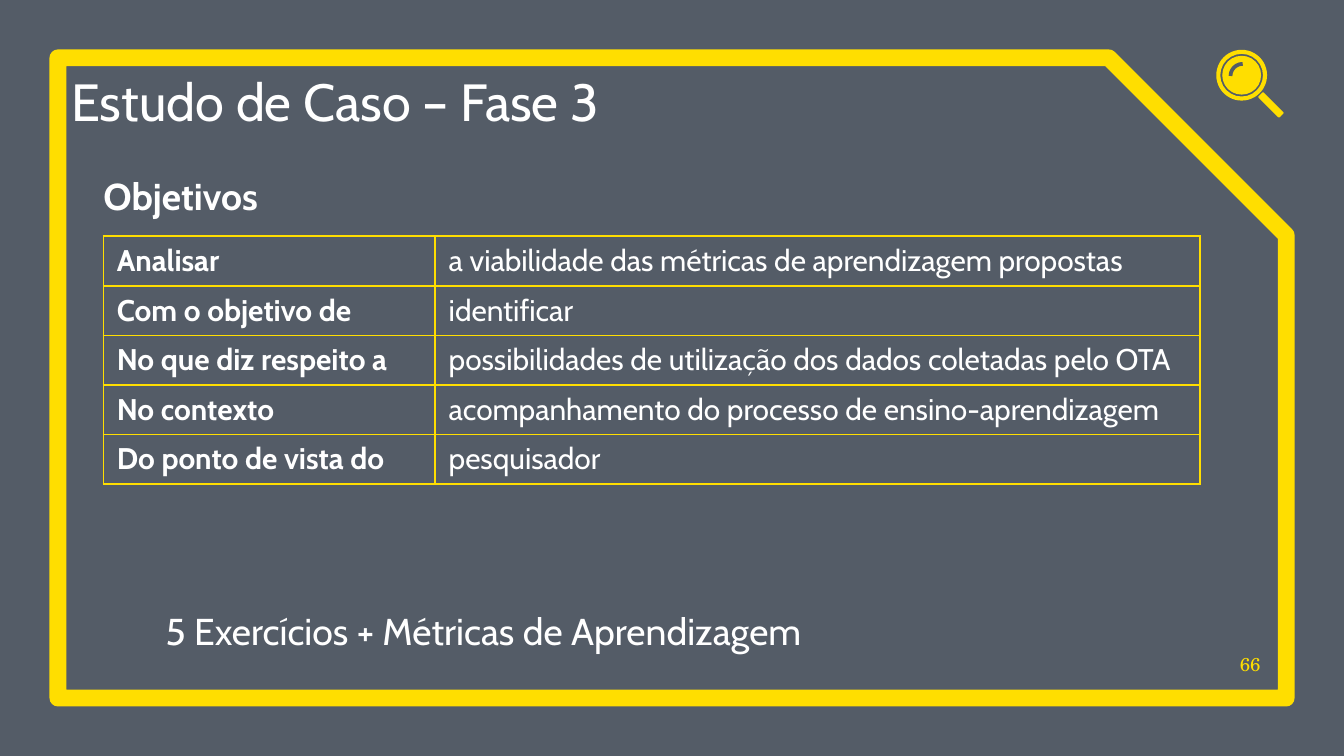
from lxml.etree import SubElement
from pptx import Presentation
from pptx.dml.color import RGBColor
from pptx.enum.shapes import MSO_SHAPE
from pptx.enum.text import MSO_ANCHOR, MSO_AUTO_SIZE, PP_ALIGN
from pptx.oxml import parse_xml
from pptx.oxml.ns import nsdecls, qn
from pptx.util import Pt

COLORS = {"background": "545C67", "yellow": "FFDE00", "white": "FFFFFF", "shadow": "000000"}
RGB = {name: RGBColor.from_string(value) for name, value in COLORS.items()}


def write_text(text_frame, text, size, bold=False, font_name="Cabin", color="white",
               align=PP_ALIGN.LEFT, shadow=False):
    paragraph = text_frame.paragraphs[0]
    paragraph.alignment = align
    run = paragraph.add_run()
    run.text = text
    for name, value in {"name": font_name, "size": Pt(size), "bold": bold}.items():
        setattr(run.font, name, value)
    run.font.color.rgb = RGB[color]
    if shadow:
        fill = run.font._element.find(qn("a:solidFill"))
        fill.addnext(parse_xml(
            f'<a:effectLst {nsdecls("a")}><a:outerShdw blurRad="38100" dist="38100" dir="2700000">'
            f'<a:srgbClr val="{COLORS["shadow"]}"><a:alpha val="43000"/></a:srgbClr>'
            '</a:outerShdw></a:effectLst>'))


def add_plain_shape(kind, left, top, width, height, fill=None, line=None, line_width=0):
    shape = slide.shapes.add_shape(kind, Pt(left), Pt(top), Pt(width), Pt(height))
    shape.shadow.inherit = False
    if fill:
        shape.fill.solid()
        shape.fill.fore_color.rgb = RGB[fill]
    else:
        shape.fill.background()
    if line:
        shape.line.color.rgb = RGB[line]
        shape.line.width = Pt(line_width)
    else:
        shape.line.fill.background()
    return shape


presentation = Presentation()
presentation.slide_width = Pt(720)
presentation.slide_height = Pt(405)
slide = presentation.slides.add_slide(presentation.slide_layouts[5])
slide.background.fill.solid()
slide.background.fill.fore_color.rgb = RGB["background"]

frame = add_plain_shape(MSO_SHAPE.SNIP_1_RECTANGLE, 31, 31, 658, 343, line="yellow", line_width=9)
frame.adjustments[0] = 0.277

lens_rim = add_plain_shape(MSO_SHAPE.DONUT, 651.6, 26.7, 27.2, 27.2, fill="yellow")
lens_rim.adjustments[0] = 0.08
add_plain_shape(MSO_SHAPE.OVAL, 654.8, 29.9, 20.8, 20.8, fill="yellow")
glare = add_plain_shape(MSO_SHAPE.ARC, 659.2, 34.2, 13, 13, line="background", line_width=2)
glare.adjustments[0] = 108
glare.adjustments[1] = 162
handle = add_plain_shape(MSO_SHAPE.ROUNDED_RECTANGLE, 672.9, 54.3, 16, 3.9, fill="yellow")
handle.rotation = 45

text_boxes = [
    ((38.2, 32.4, 529.2, 38.2), "Estudo de Caso – Fase 3", {"size": 28, "shadow": True}),
    ((55.4, 92.2, 178.6, 24.5), "Objetivos", {"size": 20, "bold": True, "shadow": True}),
    ((55.4, 318.2, 407.5, 31.7), "5 Exercícios + Métricas de Aprendizagem",
     {"size": 20, "align": PP_ALIGN.CENTER, "shadow": True}),
    ((655.9, 341.3, 19.4, 20.2), "66",
     {"size": 10, "font_name": "TeX Gyre Schola", "color": "yellow", "align": PP_ALIGN.RIGHT}),
]
for index, (position, text, text_format) in enumerate(text_boxes):
    box = slide.shapes.title if index == 0 else slide.shapes.add_textbox(0, 0, 0, 0)
    for name, value in zip(("left", "top", "width", "height"), position):
        setattr(box, name, Pt(value))
    frame_format = {"word_wrap": True, "auto_size": MSO_AUTO_SIZE.NONE,
                    "vertical_anchor": MSO_ANCHOR.BOTTOM, "margin_left": 0,
                    "margin_right": 0, "margin_top": 0, "margin_bottom": 0}
    for name, value in frame_format.items():
        setattr(box.text_frame, name, value)
    write_text(box.text_frame, text, **text_format)

goals = [
    ("Analisar", "a viabilidade das métricas de aprendizagem propostas"),
    ("Com o objetivo de", "identificar"),
    ("No que diz respeito a", "possibilidades de utilização dos dados coletadas pelo OTA"),
    ("No contexto", "acompanhamento do processo de ensino-aprendizagem"),
    ("Do ponto de vista do", "pesquisador"),
]
row_height = 26.57
table = slide.shapes.add_table(len(goals), 2, Pt(55.4), Pt(126.5), Pt(587.5),
                               Pt(row_height * len(goals))).table
table.first_row = False
table.horz_banding = False
for column, width in zip(table.columns, (177.8, 409.7)):
    column.width = Pt(width)
for row, texts in zip(table.rows, goals):
    row.height = Pt(row_height)
    for column_index, (cell, text) in enumerate(zip(row.cells, texts)):
        cell.vertical_anchor = MSO_ANCHOR.MIDDLE
        write_text(cell.text_frame, text, 16, bold=column_index == 0)
        cell.fill.background()
        properties = cell._tc.get_or_add_tcPr()
        for position, side in enumerate(("lnL", "lnR", "lnT", "lnB")):
            border = SubElement(properties, qn(f"a:{side}"), w=str(Pt(1)))
            border_fill = SubElement(border, qn("a:solidFill"))
            SubElement(border_fill, qn("a:srgbClr"), val=COLORS["yellow"])
            properties.insert(position, border)

presentation.save("out.pptx")
